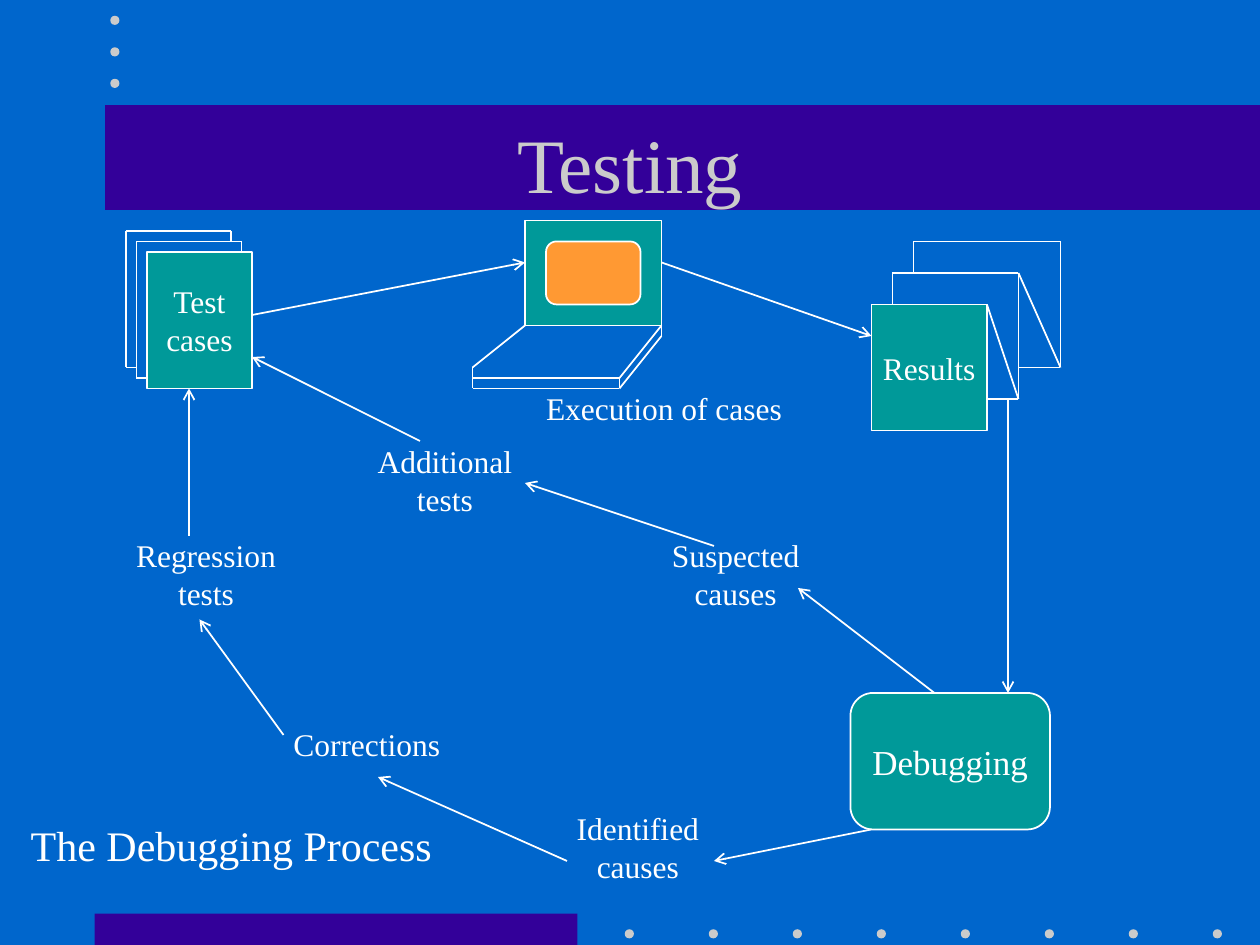
"""Build the Testing slide: a diagram of the debugging process."""
from itertools import pairwise

from lxml.etree import SubElement
from pptx import Presentation
from pptx.dml.color import RGBColor
from pptx.enum.shapes import MSO_CONNECTOR, MSO_SHAPE as Preset
from pptx.enum.text import MSO_ANCHOR, MSO_AUTO_SIZE, PP_ALIGN as Align
from pptx.oxml.ns import qn
from pptx.util import Emu, Pt

FONT = "Times New Roman"
BLUE, PURPLE, GREY = "0066CC", "330099", "CBCBCB"
TEAL, ORANGE, WHITE = "009999", "FF9933", "FFFFFF"

DOT = 7
BOTTOM_DOTS = [(476 + 64 * i, 708) for i in range(8)]
TOP_DOTS = [(84, 12 + 24 * i) for i in range(3)]

TEST_SHEETS = [
    [(184, 192), (184, 184), (104, 184), (104, 288), (112, 288)],
    [(176, 184), (176, 176), (96, 176), (96, 280), (104, 280)],
]
RESULT_SHEETS = [
    [(680, 232), (680, 208), (776, 208), (776, 304), (752, 304)],
    [(752, 232), (776, 304)],
    [(696, 208), (696, 184), (808, 184), (808, 280), (776, 280)],
    [(776, 208), (808, 280)],
]
KEYBOARD = [
    [(400, 248), (360, 280), (360, 296), (472, 296), (472, 288), (504, 248)],
    [(360, 288), (472, 288)],
    [(472, 296), (504, 256), (504, 248)],
]
FLOWS = [
    ((192, 240), (400, 200)),
    ((504, 200), (664, 256)),
    ((664, 632), (544, 656)),
    ((432, 656), (288, 592)),
    ((216, 560), (152, 472)),
    ((144, 408), (144, 296)),
    ((712, 528), (608, 448)),
    ((544, 416), (400, 368)),
    ((320, 336), (192, 272)),
    ((768, 304), (768, 528)),
]
LABELS = [
    (["Execution of cases"], (402, 292, 208, 38)),
    (["Identified", "causes"], (426, 612, 120, 67)),
    (["Corrections"], (210, 548, 139, 38)),
    (["Regression", "tests"], (90, 404, 134, 67)),
    (["Suspected", "causes"], (498, 404, 125, 67)),
    (["Additional", "tests"], (274, 332, 130, 67)),
]


def px(length):
    return Emu(length * 9525)


def color(hex_code):
    return RGBColor.from_string(hex_code)


def write(frame, lines, size, ink=WHITE, align=Align.CENTER):
    frame.text = "\n".join(lines)
    for paragraph in frame.paragraphs:
        paragraph.alignment = align
        paragraph.font.name = FONT
        paragraph.font.size = Pt(size)
        paragraph.font.color.rgb = color(ink)


def add_block(slide, preset, box, fill, outline=None):
    block = slide.shapes.add_shape(preset, *map(px, box))
    block.shadow.inherit = False
    block.fill.solid()
    block.fill.fore_color.rgb = color(fill)
    if outline:
        block.line.color.rgb = color(outline)
        block.line.width = Pt(1)
    else:
        block.line.fill.background()
    return block


def add_stage(slide, preset, box, lines, size):
    frame = add_block(slide, preset, box, TEAL, WHITE).text_frame
    frame.word_wrap = False
    frame.vertical_anchor = MSO_ANCHOR.MIDDLE
    write(frame, lines, size)


def add_label(slide, lines, box, size=18, align=Align.CENTER):
    frame = slide.shapes.add_textbox(*map(px, box)).text_frame
    frame.word_wrap = False
    frame.auto_size = MSO_AUTO_SIZE.SHAPE_TO_FIT_TEXT
    write(frame, lines, size, align=align)


def add_title(slide, title):
    frame = slide.shapes.add_textbox(*map(px, (72, 64, 816, 120))).text_frame
    frame.word_wrap = True
    frame.vertical_anchor = MSO_ANCHOR.MIDDLE
    write(frame, [title], 44, GREY)


def add_line(slide, start, end, arrow=False):
    line = slide.shapes.add_connector(
        MSO_CONNECTOR.STRAIGHT, *map(px, (*start, *end)))
    line.line.color.rgb = color(WHITE)
    line.line.width = Pt(1)
    properties = line._element.spPr
    if arrow:
        SubElement(properties.find(qn("a:ln")), qn("a:tailEnd"), type="arrow")
    SubElement(properties, qn("a:effectLst"))


def add_outlines(slide, outlines):
    for points in outlines:
        for start, end in pairwise(points):
            add_line(slide, start, end)


def add_decoration(slide):
    add_block(slide, Preset.RECTANGLE, (72, 696, 368, 24), PURPLE)
    add_block(slide, Preset.RECTANGLE, (80, 80, 880, 80), PURPLE)
    for left, top in BOTTOM_DOTS + TOP_DOTS:
        add_block(slide, Preset.OVAL, (left, top, DOT, DOT), GREY)


def add_laptop(slide):
    add_block(slide, Preset.RECTANGLE, (400, 168, 104, 80), TEAL, WHITE)
    add_outlines(slide, KEYBOARD)
    add_block(slide, Preset.FLOWCHART_ALTERNATE_PROCESS,
              (416, 184, 72, 48), ORANGE, WHITE)


def main():
    deck = Presentation()
    deck.slide_width, deck.slide_height = px(960), px(720)
    slide = deck.slides.add_slide(deck.slide_layouts[6])
    slide.background.fill.solid()
    slide.background.fill.fore_color.rgb = color(BLUE)

    add_decoration(slide)
    add_title(slide, "Testing")
    add_stage(slide, Preset.RECTANGLE, (112, 192, 80, 104),
              ["Test", "cases"], 18)
    add_stage(slide, Preset.RECTANGLE, (664, 232, 88, 96), ["Results"], 18)
    add_outlines(slide, RESULT_SHEETS + TEST_SHEETS)
    add_stage(slide, Preset.FLOWCHART_ALTERNATE_PROCESS,
              (648, 528, 152, 104), ["Debugging"], 20)
    add_laptop(slide)
    for lines, box in LABELS:
        add_label(slide, lines, box)
    for start, end in FLOWS:
        add_line(slide, start, end, arrow=True)
    add_label(slide, ["The Debugging Process"], (14, 620, 336, 48),
              24, Align.LEFT)
    deck.save("out.pptx")


if __name__ == "__main__":
    main()
